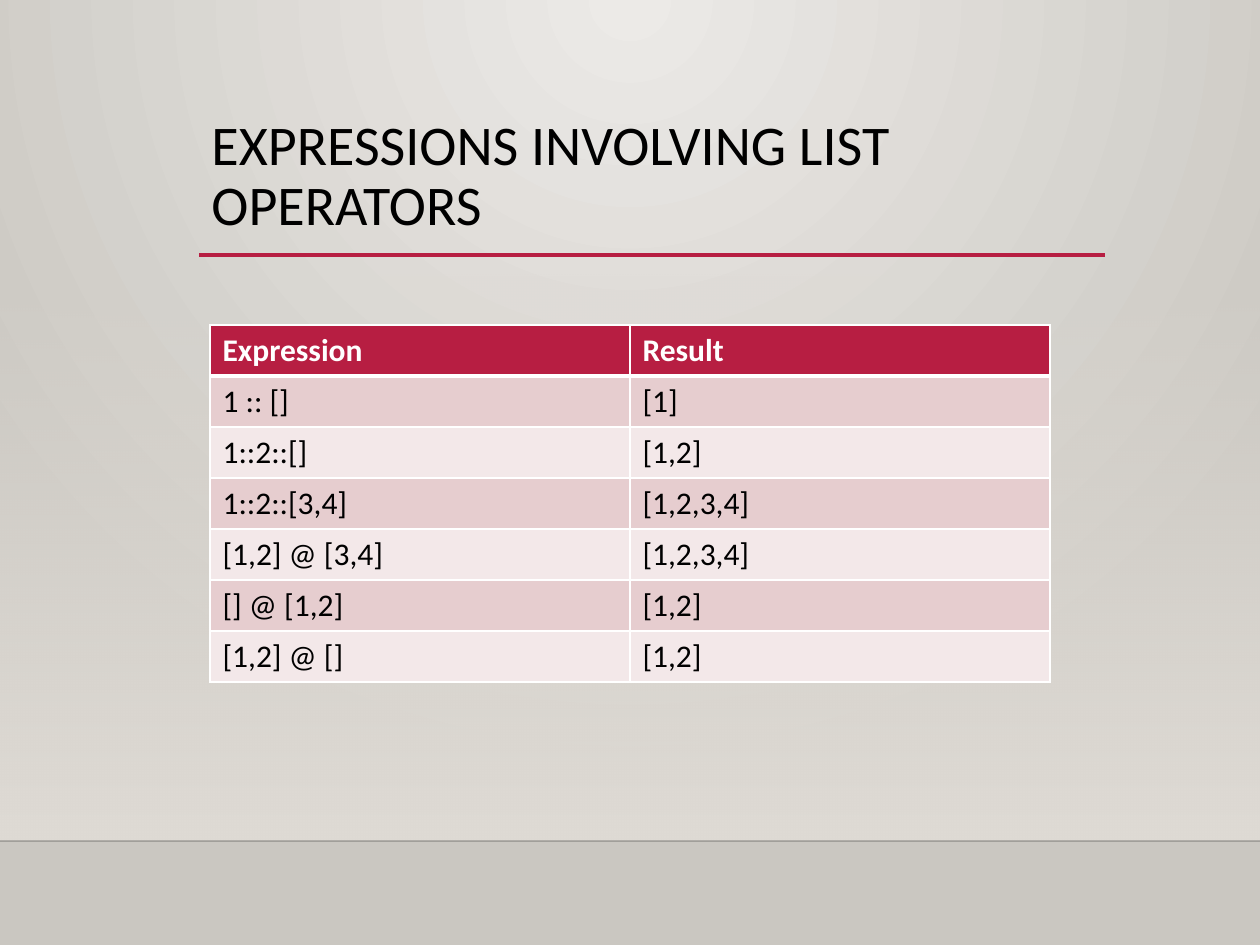
import dataclasses

import lxml.etree
import pptx
import pptx.dml.color
import pptx.enum.shapes
import pptx.enum.text
import pptx.oxml
import pptx.oxml.ns
import pptx.util


@dataclasses.dataclass(frozen=True)
class Theme:
    font: str = "Calibri"
    title_size: int = 32
    table_size: int = 18
    ink: str = "000000"
    accent: str = "B71E42"
    white: str = "FFFFFF"
    bands: tuple = ("E6CDCF", "F3E8E9")
    glow: str = "ECEAE7"
    floor: str = "CAC7C1"
    wall: str = "DFDBD5"


def rgb(value):
    return pptx.dml.color.RGBColor.from_string(value)


def add_alpha(fill_parent, percent):
    """Make the colour below this element partly transparent."""
    color = fill_parent.find(".//" + pptx.oxml.ns.qn("a:srgbClr"))
    alpha = lxml.etree.SubElement(color, pptx.oxml.ns.qn("a:alpha"))
    alpha.set("val", str(percent * 1000))


def set_gradient(parent, stops, direction):
    """Swap the solid fill of parent for a gradient of (place, colour, opacity)."""
    stop_xml = "".join(
        f'<a:gs pos="{place * 1000}"><a:srgbClr val="{color}">'
        f'<a:alpha val="{opacity * 1000}"/></a:srgbClr></a:gs>'
        for place, color, opacity in stops)
    gradient = pptx.oxml.parse_xml(
        f'<a:gradFill {pptx.oxml.ns.nsdecls("a")} rotWithShape="1">'
        f"<a:gsLst>{stop_xml}</a:gsLst>{direction}</a:gradFill>")
    parent.replace(parent.find(pptx.oxml.ns.qn("a:solidFill")), gradient)


class SlideBuilder:
    """Draws elements on one slide; lengths are shares of its size."""

    def __init__(self, deck, theme):
        self.theme = theme
        self.width, self.height = deck.slide_width, deck.slide_height
        self.slide = deck.slides.add_slide(deck.slide_layouts[6])

    def scale(self, x, y):
        return round(x * self.width), round(y * self.height)

    def box(self, x, y, w, h):
        return self.scale(x, y) + self.scale(w, h)

    def add_text(self, paragraph, text, size, color, bold=False):
        run = paragraph.add_run()
        run.text = text
        run.font.name = self.theme.font
        run.font.size = pptx.util.Pt(size)
        run.font.bold = bold
        run.font.color.rgb = rgb(color)

    def background(self, inner, outer):
        fill = self.slide.background.fill
        fill.solid()
        fill.fore_color.rgb = rgb(outer)
        properties = self.slide.element.find(".//" + pptx.oxml.ns.qn("p:bgPr"))
        set_gradient(properties, [(0, inner, 100), (100, outer, 100)],
                     '<a:path path="circle"><a:fillToRect l="43000" t="0" '
                     'r="43000" b="100000"/></a:path>')

    def fade(self, x, y, w, h, color):
        panel = self.slide.shapes.add_shape(
            pptx.enum.shapes.MSO_SHAPE.RECTANGLE, *self.box(x, y, w, h))
        panel.shadow.inherit = False
        panel.line.fill.background()
        panel.fill.solid()
        set_gradient(panel.element.spPr, [(0, color, 0), (100, color, 100)],
                     '<a:lin ang="5400000" scaled="0"/>')

    def rule(self, x, y, w, color, weight, opacity=100):
        line = self.slide.shapes.add_connector(
            pptx.enum.shapes.MSO_CONNECTOR.STRAIGHT,
            *self.scale(x, y), *self.scale(x + w, y))
        line.line.color.rgb = rgb(color)
        line.line.width = pptx.util.Pt(weight)
        properties = line.element.spPr
        if opacity < 100:
            add_alpha(properties, opacity)
        lxml.etree.SubElement(properties, pptx.oxml.ns.qn("a:effectLst"))

    def title(self, x, y, w, h, text):
        frame = self.slide.shapes.add_textbox(*self.box(x, y, w, h)).text_frame
        frame.word_wrap = True
        frame.vertical_anchor = pptx.enum.text.MSO_ANCHOR.TOP
        frame.paragraphs[0].line_spacing = 0.9
        self.add_text(frame.paragraphs[0], text, self.theme.title_size, self.theme.ink)

    def borders(self, cell, weights):
        properties = cell._tc.get_or_add_tcPr()
        for side, weight in weights.items():
            properties.append(pptx.oxml.parse_xml(
                f'<a:ln{side} {pptx.oxml.ns.nsdecls("a")} '
                f'w="{pptx.util.Pt(weight)}"><a:solidFill>'
                f'<a:srgbClr val="{self.theme.white}"/></a:solidFill></a:ln{side}>'))

    def table(self, x, y, w, h, rows):
        table = self.slide.shapes.add_table(
            len(rows), len(rows[0]), *self.box(x, y, w, h)).table
        table.horz_banding = False
        for row, values in enumerate(rows):
            header = row == 0
            fill = self.theme.accent if header else self.theme.bands[(row - 1) % 2]
            ink = self.theme.white if header else self.theme.ink
            weights = {"L": 1, "R": 1, "T": 3 if row == 1 else 1, "B": 3 if header else 1}
            for column, value in enumerate(values):
                cell = table.cell(row, column)
                self.borders(cell, weights)
                cell.fill.solid()
                cell.fill.fore_color.rgb = rgb(fill)
                self.add_text(cell.text_frame.paragraphs[0], value,
                              self.theme.table_size, ink, header)


def main():
    theme = Theme()
    deck = pptx.Presentation()
    deck.slide_width, deck.slide_height = pptx.util.Inches(10), pptx.util.Inches(7.5)
    page = SlideBuilder(deck, theme)

    # Backdrop: lit wall above a plain floor
    floor_top = 0.89
    wall_top = 0.29
    page.background(theme.glow, theme.floor)
    page.fade(0, wall_top, 1, floor_top - wall_top, theme.wall)
    page.rule(0, floor_top, 1, theme.ink, 1, opacity=20)

    # Heading with its underline
    heading_left, heading_top, heading_width, underline = 0.158, 0.117, 0.719, 0.27
    page.rule(heading_left, underline, heading_width, theme.accent, 2.5)
    page.title(heading_left, heading_top, heading_width, underline - heading_top,
               "EXPRESSIONS INVOLVING LIST OPERATORS")

    # List expressions and what they evaluate to
    expressions = [
        ("Expression", "Result"),
        ("1 :: []", "[1]"),
        ("1::2::[]", "[1,2]"),
        ("1::2::[3,4]", "[1,2,3,4]"),
        ("[1,2] @ [3,4]", "[1,2,3,4]"),
        ("[] @ [1,2]", "[1,2]"),
        ("[1,2] @ []", "[1,2]"),
    ]
    row_height = 0.054
    page.table(1 / 6, 0.344, 2 / 3, row_height * len(expressions), expressions)

    deck.save("out.pptx")


if __name__ == "__main__":
    main()
